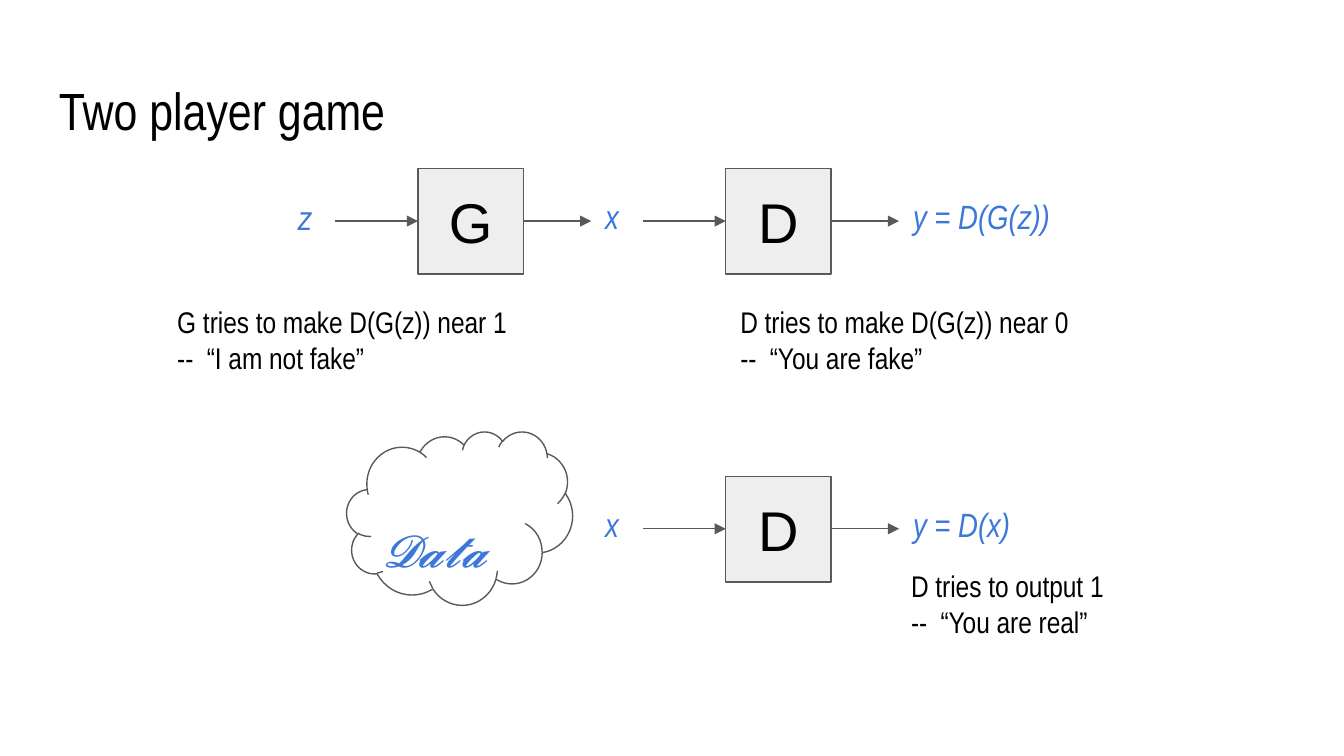
import pptx
import pptx.dml.color
import pptx.enum.shapes
import pptx.enum.text
import pptx.oxml
import pptx.oxml.ns
import pptx.util

PX = 4572
NARROW = "Arial Narrow"
BLACK, BLUE, GRAY, PALE, WHITE = "000000", "3C78D8", "595959", "EEEEEE", "FFFFFF"
SHAPE = pptx.enum.shapes.MSO_SHAPE
BOX = 157


def px(*values):
    return [pptx.util.Emu(v * PX) for v in values]


def rgb(value):
    return pptx.dml.color.RGBColor.from_string(value)


def drawing(tag, **attributes):
    element = pptx.oxml.parse_xml(f"<a:{tag} {pptx.oxml.ns.nsdecls('a')}/>")
    for name, value in attributes.items():
        element.set(name, str(value))
    return element


def write(tf, text, size=18, color=BLACK, font=NARROW, italic=False, align=None, tab=None):
    for i, line in enumerate(text.split("\n")):
        p = tf.add_paragraph() if i else tf.paragraphs[0]
        p.alignment = align
        if tab and "\t" in line:
            stops = drawing("tabLst")
            stops.append(drawing("tab", pos=tab * PX, algn="l"))
            p._p.get_or_add_pPr().append(stops)
        r = p.add_run()
        r.text = line
        r.font.name, r.font.size, r.font.italic = font, pptx.util.Pt(size), italic
        r.font.color.rgb = rgb(color)


class Diagram:
    """Draws boxes, arrows and labels on one slide in a shared style."""

    def __init__(self, slide):
        self.shapes = slide.shapes

    def frame(self, tf):
        tf.word_wrap = True
        tf.margin_left, tf.margin_top, tf.margin_right, tf.margin_bottom = px(20, 20, 20, 20)
        return tf

    def stroke(self, line):
        line.color.rgb = rgb(GRAY)
        line.width = pptx.util.Pt(0.75)

    def text(self, x, y, w, text, h=96, **style):
        sp = self.shapes.add_textbox(*px(x, y, w, h))
        write(self.frame(sp.text_frame), text, **style)

    def symbol(self, x, y, w, text):
        self.text(x, y, w, text, color=BLUE, italic=True)

    def note(self, x, y, w, text):
        self.text(x, y, w, text, size=16, tab=44)

    def shape(self, kind, x, y, w, h, fill):
        sp = self.shapes.add_shape(kind, *px(x, y, w, h))
        sp.shadow.inherit = False
        sp.fill.solid()
        sp.fill.fore_color.rgb = rgb(fill)
        self.stroke(sp.line)
        return sp

    def arrow(self, x1, x2, y):
        cx = self.shapes.add_connector(
            pptx.enum.shapes.MSO_CONNECTOR.STRAIGHT, *px(x1, y, x2, y))
        self.stroke(cx.line)
        cx.line._get_or_add_ln().append(drawing("tailEnd", type="triangle"))
        cx._element.spPr.append(drawing("effectLst"))

    def player(self, x, y, name):
        tf = self.frame(self.shape(SHAPE.RECTANGLE, x, y, BOX, BOX, PALE).text_frame)
        tf.vertical_anchor = pptx.enum.text.MSO_ANCHOR.MIDDLE
        write(tf, name, size=30, font="Arial", align=pptx.enum.text.PP_ALIGN.CENTER)
        self.arrow(x - 123, x, y + 78)
        self.arrow(x + BOX, x + BOX + 101, y + 78)

    def discriminator(self, y, output):
        self.player(1080, y, "D")
        self.symbol(881, y + 21, 100, "x")
        self.symbol(1339, y + 21, 350, output)


def main():
    prs = pptx.Presentation()
    prs.slide_width, prs.slide_height = px(2000, 1125)
    s = Diagram(prs.slides.add_slide(prs.slide_layouts[6]))

    s.text(68, 97, 1864, "Two player game", h=125, size=28)
    s.symbol(424, 273, 64, "z")
    s.player(622, 251, "G")
    s.discriminator(251, "y = D(G(z))")
    s.discriminator(709, "y = D(x)")

    s.shape(SHAPE.CLOUD, 516, 642, 336, 258, WHITE)
    s.text(550, 758, 266, "𝓓𝓪𝓽𝓪", size=24, color=BLUE, font="Arial", italic=True)

    s.note(244, 432, 876, "G tries to make D(G(z)) near 1\n--\t“I am not fake”")
    s.note(1082, 432, 876, "D tries to make D(G(z)) near 0\n--\t“You are fake”")
    s.note(1336, 825, 376, "D tries to output 1\n--\t“You are real”")
    prs.save("out.pptx")


if __name__ == "__main__":
    main()
